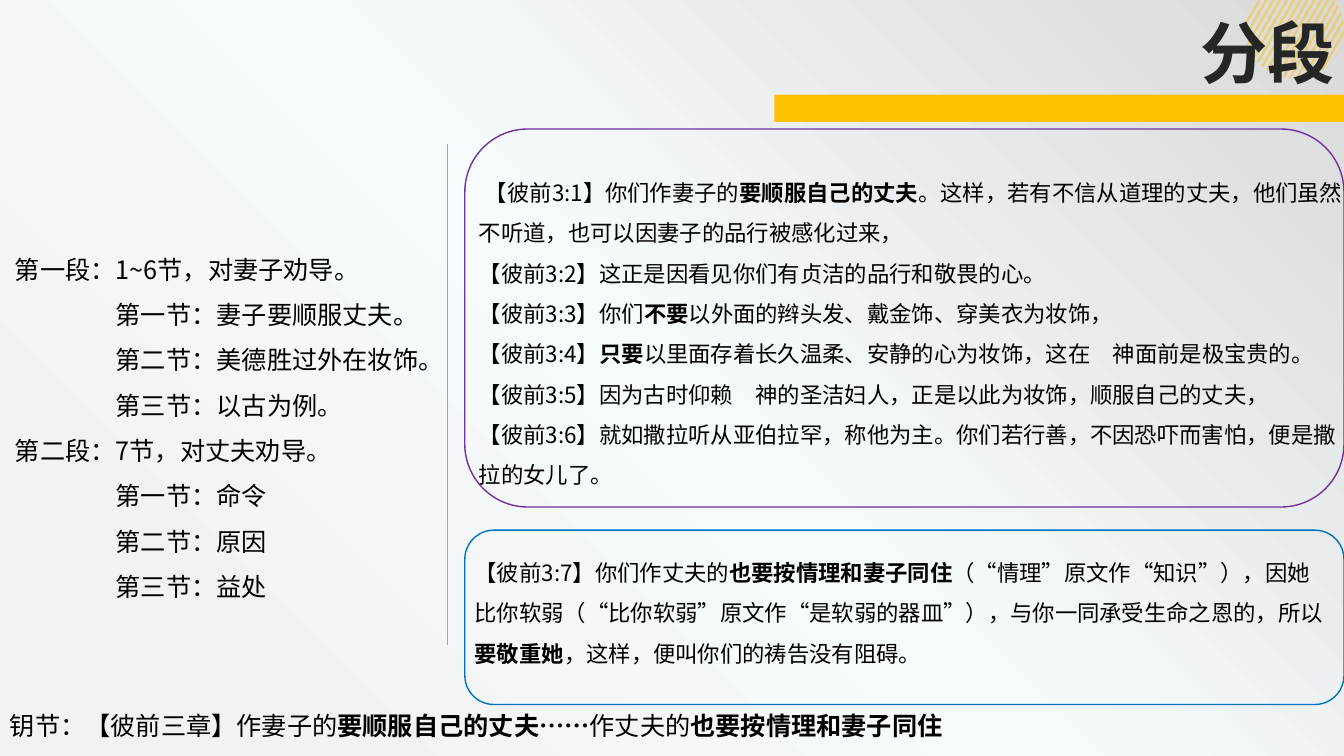
import math
from lxml import etree
from pptx import Presentation, util as u
from pptx.dml.color import RGBColor
from pptx.enum import shapes, text
from pptx.oxml import ns

THEME = dict(
    font="Noto Sans CJK SC", title_font="Arial",
    ink="000000", title="262626", gold="FFC000", rule="A6A6A6",
    wives="7030A0", husbands="0070C0",
    title_pt=48, body_pt=18, verse_pt=16,
    stops=((15, "F2F2F2", 100), (50, "F6FCFE", 27), (100, "D9D9D9", 100)),
)
W, H = 13.33, 7.5
RIGHT_COL = 4.61
RIGHT_W = W - RIGHT_COL


def add_text(box, paragraphs, size, margins=(0.1, 0.05), spacing=1.5,
             anchor=text.MSO_ANCHOR.TOP, color=THEME["ink"], font=THEME["font"]):
    """Fill box; a paragraph is (left margin, indent, runs), a run is (text, bold)."""
    tf = box.text_frame
    tf.word_wrap = True
    tf.auto_size = text.MSO_AUTO_SIZE.NONE
    tf.vertical_anchor = anchor
    tf.margin_left = tf.margin_right = u.Inches(margins[0])
    tf.margin_top = tf.margin_bottom = u.Inches(margins[1])
    for i, (margin, indent, runs) in enumerate(paragraphs):
        p = tf.add_paragraph() if i else tf.paragraphs[0]
        p.line_spacing = spacing
        pPr = p._p.get_or_add_pPr()
        pPr.set("marL", str(u.Inches(margin)))
        pPr.set("indent", str(u.Inches(indent)))
        for words, bold in runs:
            r = p.add_run()
            r.text = words
            r.font.size, r.font.bold, r.font.name = u.Pt(size), bold, font
            r.font.color.rgb = RGBColor.from_string(color)
            ea = etree.SubElement(r.font._element, ns.qn("a:ea"))
            ea.set("typeface", THEME["font"])
    return tf


def paint(sp, fill=None, line=None):
    """Set fill and outline, with no shadow."""
    sp.shadow.inherit = False
    if fill:
        sp.fill.solid()
        sp.fill.fore_color.rgb = RGBColor.from_string(fill)
    else:
        sp.fill.background()
    if line:
        sp.line.color.rgb = RGBColor.from_string(line)
        sp.line.width = u.Pt(1)
    else:
        sp.line.fill.background()


prs = Presentation()
prs.slide_width, prs.slide_height = u.Inches(W), u.Inches(H)
s = prs.slides.add_slide(prs.slide_layouts[5])

# Background: radial gradient from the lower left corner
s.background.fill.gradient()
grad = s.background._cSld.find(".//" + ns.qn("a:gradFill"))
for child in list(grad):
    grad.remove(child)
stop_list = etree.SubElement(grad, ns.qn("a:gsLst"))
for pos, color, alpha in THEME["stops"]:
    gs = etree.SubElement(stop_list, ns.qn("a:gs"), pos=str(pos * 1000))
    clr = etree.SubElement(gs, ns.qn("a:srgbClr"), val=color)
    if alpha < 100:
        etree.SubElement(clr, ns.qn("a:alpha"), val=str(alpha * 1000))
shade = etree.SubElement(grad, ns.qn("a:path"))
shade.set("path", "circle")
etree.SubElement(shade, ns.qn("a:fillToRect"), l="0", t="100000", r="100000", b="0")

# Hatched disc: 60-degree stripes clipped by a circle and the slide's top edge
CX, CY, RADIUS = 12.84, 0.29, 0.49
PITCH, STRIPE = 0.068, 0.025
COS, SIN = math.cos(math.pi / 6), 0.5
for k in range(17):
    corners = []
    for x0 in (12.48 + k * PITCH, 12.48 + k * PITCH + STRIPE):
        off = (x0 - CX - CY * SIN / COS) * COS
        off = max(-RADIUS, min(RADIUS, off))
        half = math.sqrt(RADIUS ** 2 - off ** 2)
        fx, fy = CX + off * COS, CY + off * SIN
        top = (fx + half * SIN, fy - half * COS)
        corners.append((top if top[1] > 0 else (x0, 0),
                        (fx - half * SIN, fy + half * COS)))
    (top_l, low_l), (top_r, low_r) = corners
    pts = [(u.Inches(x), u.Inches(y)) for x, y in (top_l, top_r, low_r, low_l)]
    fb = s.shapes.build_freeform(*pts[0])
    fb.add_line_segments(pts[1:], close=True)
    sp = fb.convert_to_shape()
    paint(sp, THEME["gold"])
    clr = sp._element.spPr.find(".//" + ns.qn("a:srgbClr"))
    etree.SubElement(clr, ns.qn("a:alpha"), val="50000")

# Title and its bar
bar = s.shapes.add_shape(shapes.MSO_SHAPE.RECTANGLE, u.Inches(7.68), u.Inches(0.94),
                         u.Inches(W - 7.68), u.Inches(0.27))
paint(bar, THEME["gold"])
title = s.shapes.title
title.left, title.top, title.width, title.height = map(u.Inches, (7.69, 0.15, 5.65, 0.91))
tf = add_text(title, [(0, 0, [("分段", True)])], THEME["title_pt"], spacing=0.9,
              color=THEME["title"], font=THEME["title_font"])
tf.paragraphs[0].alignment = text.PP_ALIGN.RIGHT
bar._element.addnext(title._element)

# Outline on the left: each section with its points
outline = (
    ("第一段：1~6节，对妻子劝导。",
     ("第一节：妻子要顺服丈夫。", "第二节：美德胜过外在妆饰。", "第三节：以古为例。")),
    ("第二段：7节，对丈夫劝导。",
     ("第一节：命令", "第二节：原因", "第三节：益处")),
)
lines = []
for section, points in outline:
    lines.append((0, 0, [(section, False)]))
    lines += [(1, 0, [(point, False)]) for point in points]
tb = s.shapes.add_textbox(*map(u.Inches, (0.05, 2.32, 4.45, 3.69)))
add_text(tb, lines, THEME["body_pt"])

# Divider
cn = s.shapes.add_connector(shapes.MSO_CONNECTOR.STRAIGHT,
                            *map(u.Inches, (4.44, 1.43, 4.44, 6.4)))
cn.line.color.rgb = RGBColor.from_string(THEME["rule"])
cn.line.width = u.Pt(0.5)
etree.SubElement(cn._element.spPr, ns.qn("a:effectLst"))

# Verse panels: frame (top, height), colour, text box, margin, verses
wives = [
    (0, 0.06, [("【彼前3:1】你们作妻子的", False), ("要顺服自己的丈夫", True),
               ("。这样，若有不信从道理的丈夫，他们虽然不听道，也可以因妻子的品行被感化过来，", False)]),
    (0, 0, [("【彼前3:2】这正是因看见你们有贞洁的品行和敬畏的心。", False)]),
    (0, 0, [("【彼前3:3】你们", False), ("不要", True),
            ("以外面的辫头发、戴金饰、穿美衣为妆饰，", False)]),
    (0, 0, [("【彼前3:4】", False), ("只要", True),
            ("以里面存着长久温柔、安静的心为妆饰，这在　神面前是极宝贵的。", False)]),
    (0, 0, [("【彼前3:5】因为古时仰赖　神的圣洁妇人，正是以此为妆饰，顺服自己的丈夫，", False)]),
    (0, 0, [("【彼前3:6】就如撒拉听从亚伯拉罕，称他为主。你们若行善，不因恐吓而害怕，便是撒拉的女儿了。", False)]),
]
husbands = [
    (0, 0, [("【彼前3:7】你们作丈夫的", False), ("也要按情理和妻子同住", True),
            ("（“情理”原文作“知识”），因她比你软弱（“比你软弱”原文作“是软弱的器皿”），"
             "与你一同承受生命之恩的，所以", False),
            ("要敬重她", True), ("，这样，便叫你们的祷告没有阻碍。", False)]),
]
panels = (
    (1.28, 3.75, THEME["wives"], (4.68, 1.86, RIGHT_W, 2.77), 0.07, wives),
    (5.26, 1.73, THEME["husbands"], (RIGHT_COL, 5.15, 8.67, 1.73), 0.1, husbands),
)
for top, height, color, area, margin, verses in panels:
    frame = s.shapes.add_shape(shapes.MSO_SHAPE.ROUNDED_RECTANGLE,
                               *map(u.Inches, (RIGHT_COL, top, RIGHT_W, height)))
    paint(frame, line=color)
    tb = s.shapes.add_textbox(*map(u.Inches, area))
    add_text(tb, verses, THEME["verse_pt"], (margin, margin), anchor=text.MSO_ANCHOR.MIDDLE)

# Key verse along the bottom
tb = s.shapes.add_textbox(*map(u.Inches, (0, 7, 13.24, 0.4)))
add_text(tb, [(0, 0, [("钥节：【彼前三章】作妻子的", False), ("要顺服自己的丈夫……", True),
                      ("作丈夫的", False), ("也要按情理和妻子同住", True)])],
         THEME["body_pt"], spacing=1.0)

prs.save("out.pptx")
